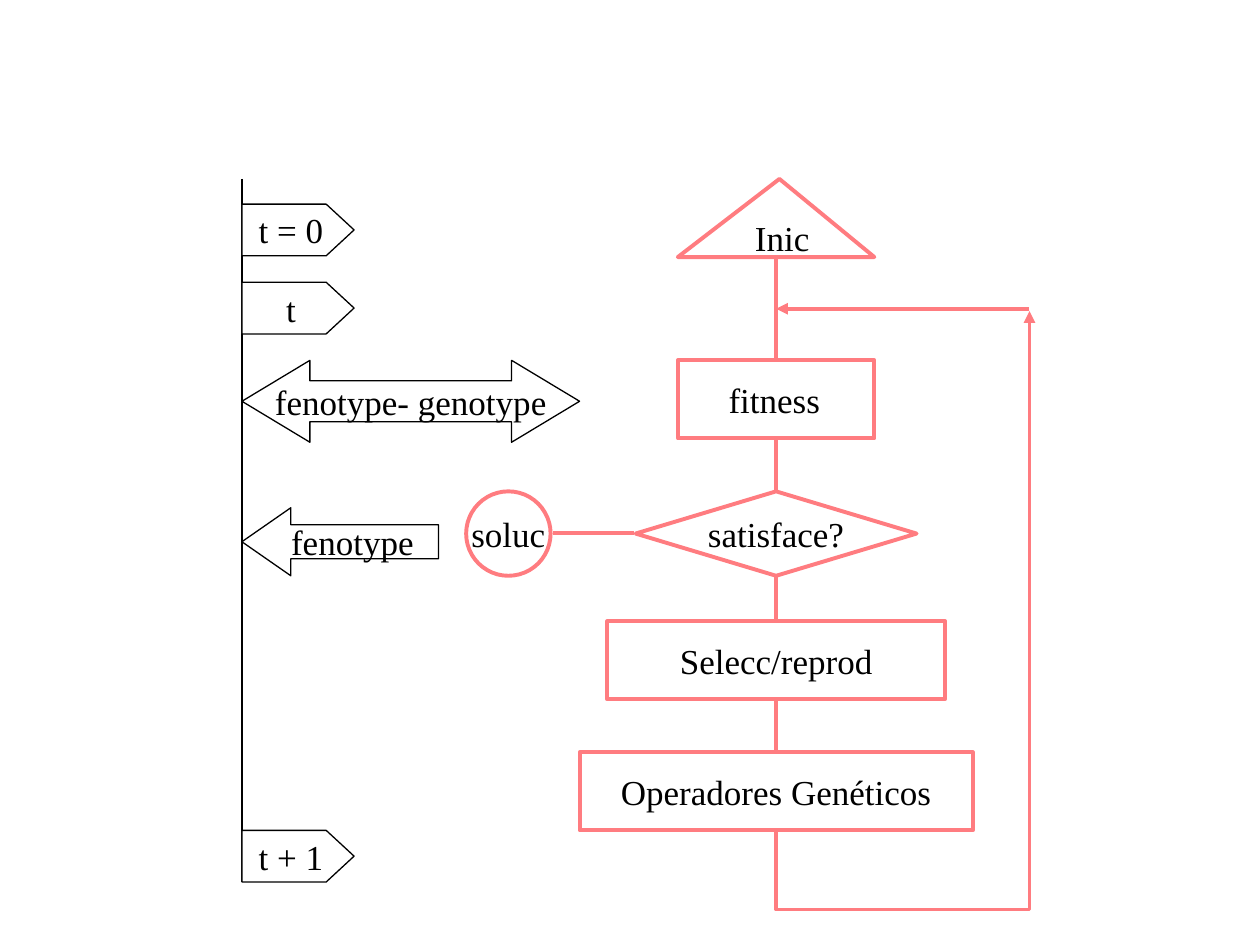
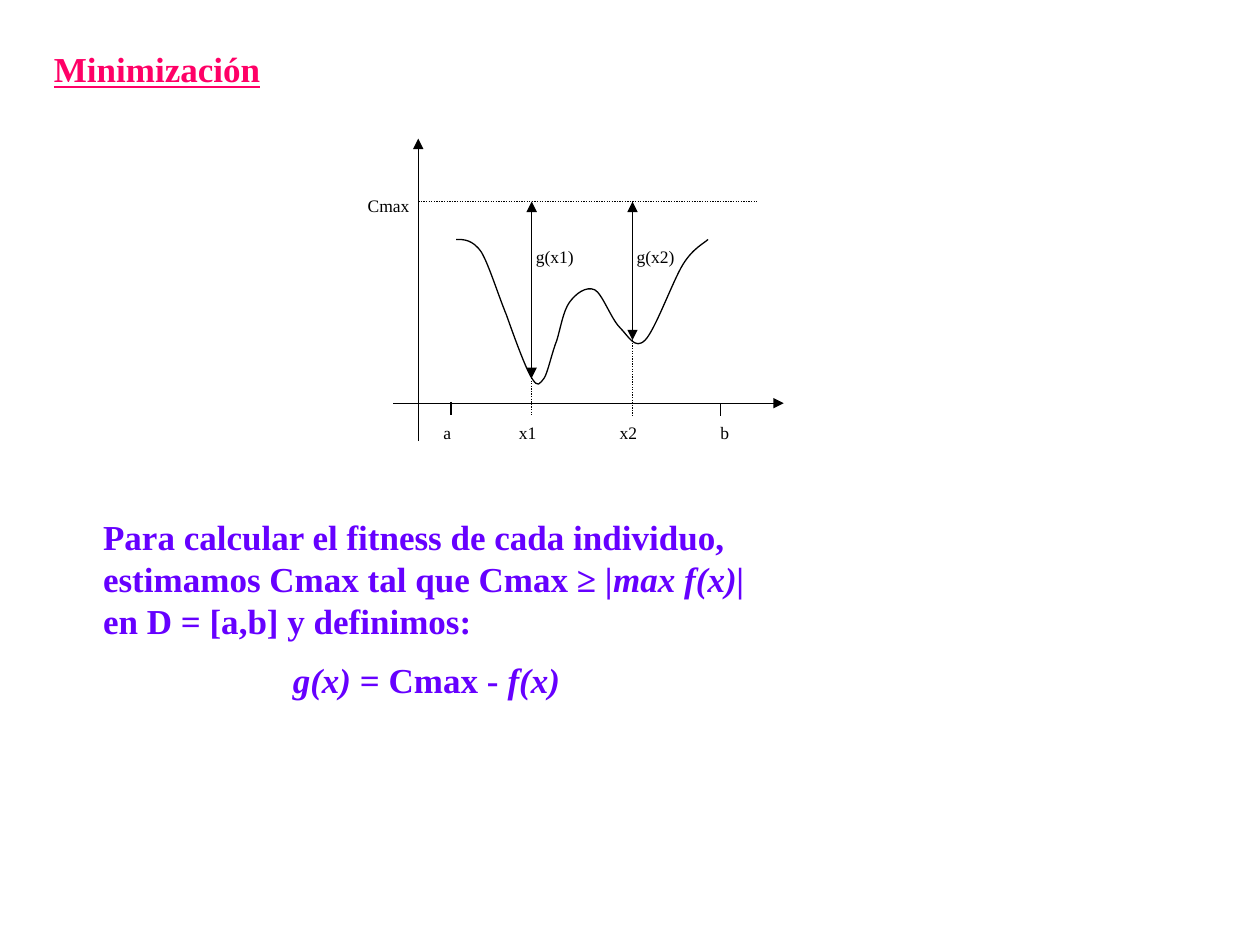
from dataclasses import dataclass

from lxml.etree import SubElement
from pptx import Presentation
from pptx.dml.color import RGBColor
from pptx.enum.dml import MSO_LINE
from pptx.enum.shapes import MSO_CONNECTOR, MSO_SHAPE
from pptx.enum.text import MSO_ANCHOR, MSO_AUTO_SIZE, PP_ALIGN
from pptx.oxml.ns import qn
from pptx.util import Inches, Pt


@dataclass(frozen=True)
class Theme:
    """Colours, font and sizes shared by the slides."""
    font: str = "Times New Roman"
    black: str = "000000"
    white: str = "FFFFFF"
    flow: str = "FF7C80"
    title: str = "FF0066"
    body: str = "6600FF"
    text_size: int = 20
    label_size: int = 10
    spacer_size: int = 8
    thin: float = 0.75
    thick: float = 2.25


THEME = Theme()


def write_text(shape, *paragraphs, size=THEME.text_size, color=THEME.black, bold=None,
               underline=None, aligns=(PP_ALIGN.LEFT,), space=0, wrap=True,
               anchor=MSO_ANCHOR.TOP, grow=False):
    """Fill a shape; a paragraph is a string or a list of (text, font overrides)."""
    frame = shape.text_frame
    frame.word_wrap = wrap
    frame.vertical_anchor = anchor
    if grow:
        frame.auto_size = MSO_AUTO_SIZE.SHAPE_TO_FIT_TEXT
    for index, content in enumerate(paragraphs):
        paragraph = frame.add_paragraph() if index else frame.paragraphs[0]
        paragraph.alignment = aligns[index]
        if index and space:
            paragraph.space_before = Pt(space)
        runs = [(content, {})] if isinstance(content, str) else content
        for text, overrides in runs:
            run = paragraph.add_run()
            run.text = text
            font = run.font
            font.name = THEME.font
            font.size = Pt(overrides.get("size", size))
            font.bold = bold
            font.underline = underline
            font.italic = overrides.get("italic")
            font.color.rgb = RGBColor.from_string(color)


def add_textbox(shapes, text, left, top, width, height, **text_format):
    """Add a text box holding one paragraph."""
    box = shapes.add_textbox(Inches(left), Inches(top), Inches(width), Inches(height))
    write_text(box, text, **text_format)


def style_line(shape, color, width):
    """Set the outline colour and width."""
    shape.line.color.rgb = RGBColor.from_string(color)
    shape.line.width = Pt(width)


def add_node(shapes, kind, text, left, top, width, height,
             color=THEME.flow, line_width=THEME.thick, adjust=()):
    """Add an outlined white shape with centred text."""
    shape = shapes.add_shape(kind, Inches(left), Inches(top), Inches(width), Inches(height))
    shape.shadow.inherit = False
    for index, value in enumerate(adjust):
        shape.adjustments[index] = value
    shape.fill.solid()
    shape.fill.fore_color.rgb = RGBColor.from_string(THEME.white)
    style_line(shape, color, line_width)
    write_text(shape, text, aligns=(PP_ALIGN.CENTER,), wrap=False, anchor=MSO_ANCHOR.MIDDLE)


def add_line(shapes, start, end, color=THEME.black, width=THEME.thin,
             dotted=False, heads=(), kind=MSO_CONNECTOR.STRAIGHT):
    """Add a connector; heads names the ends (headEnd, tailEnd) with a triangle."""
    line = shapes.add_connector(kind, *map(Inches, (*start, *end)))
    style_line(line, color, width)
    if dotted:
        line.line.dash_style = MSO_LINE.ROUND_DOT
    properties = line._element.spPr
    for head in heads:
        SubElement(properties.find(qn("a:ln")), qn(f"a:{head}"), type="triangle")
    SubElement(properties, qn("a:effectLst"))
    return line


def add_return_loop(shapes, start, end, drop):
    """Add an elbow that drops below start, then rises to end on its right."""
    (x1, y1), (x2, y2) = start, end
    length, breadth = y1 - y2, x2 - x1
    middle_x, middle_y = (x1 + x2) / 2, (y1 + y2) / 2
    # Drawn lying down and flipped both ways, then turned by a quarter.
    loop = add_line(shapes, (middle_x + length / 2, middle_y + breadth / 2),
                    (middle_x - length / 2, middle_y - breadth / 2),
                    THEME.flow, THEME.thick, heads=("tailEnd",), kind=MSO_CONNECTOR.ELBOW)
    properties = loop._element.spPr
    properties.find(qn("a:xfrm")).set("rot", "5400000")
    guides = properties.find(qn("a:prstGeom")).find(qn("a:avLst"))
    SubElement(guides, qn("a:gd"), name="adj1", fmla=f"val {round(-100000 * drop / length)}")


def add_curve(shapes, points):
    """Add an open Bezier curve: a start, then two controls and a knot per piece."""
    start, *others = [(Inches(x), Inches(y)) for x, y in points]
    builder = shapes.build_freeform(*start)
    builder.add_line_segments(others, close=False)
    curve = builder.convert_to_shape()
    curve.shadow.inherit = False
    curve.fill.background()
    style_line(curve, THEME.black, THEME.thin)
    segments = list(curve._element.iter(qn("a:lnTo")))
    for index in range(0, len(segments), 3):
        piece = SubElement(segments[0].getparent(), qn("a:cubicBezTo"))
        for segment in segments[index:index + 3]:
            piece.append(segment[0])
    for segment in segments:
        segment.getparent().remove(segment)


def build_flowchart(slide):
    """Draw the genetic algorithm's flow beside its time line."""
    shapes = slide.shapes
    axis, center, right = 1.92, 6.16, 8.17
    fitness = [("fitness", {}), (" ", {"size": THEME.spacer_size})]
    steps = [
        (MSO_SHAPE.ISOSCELES_TRIANGLE, " Inic", 1.42, 1.56, 0.62, (0.517,)),
        (MSO_SHAPE.RECTANGLE, fitness, 2.86, 1.56, 0.62, ()),
        (MSO_SHAPE.DIAMOND, "satisface?", 3.9, 2.23, 0.67, ()),
        (MSO_SHAPE.RECTANGLE, "Selecc/reprod", 4.93, 2.68, 0.62, ()),
        (MSO_SHAPE.RECTANGLE, "Operadores Genéticos", 5.97, 3.12, 0.62, ()),
    ]
    for kind, text, top, width, height, adjust in steps:
        add_node(shapes, kind, text, center - width / 2, top, width, height, adjust=adjust)

    thin = {"color": THEME.black, "line_width": THEME.thin}
    add_line(shapes, (axis, 1.42), (axis, 7))
    for text, top in (("t = 0", 1.62), ("t", 2.24), ("t + 1", 6.59)):
        add_node(shapes, MSO_SHAPE.PENTAGON, text, axis, top, 0.89, 0.41,
                 adjust=(0.54,), **thin)
    add_node(shapes, MSO_SHAPE.LEFT_RIGHT_ARROW, "fenotype- genotype",
             axis, 2.86, 2.68, 0.65, adjust=(0.5, 0.83), **thin)
    add_node(shapes, MSO_SHAPE.FLOWCHART_CONNECTOR, "soluc", 3.7, 3.9, 0.67, 0.67)
    add_node(shapes, MSO_SHAPE.LEFT_ARROW, "fenotype",
             axis, 4.03, 1.56, 0.54, adjust=(0.5, 0.72), **thin)

    flow = {"color": THEME.flow, "width": THEME.thick}
    for above, below in zip(steps, steps[1:]):
        add_line(shapes, (center, above[2] + above[4] + 0.01), (center, below[2] - 0.01), **flow)
    add_return_loop(shapes, (center, 6.6), (right, 2.47), drop=0.62)
    add_line(shapes, (right, 2.45), (center, 2.45), heads=("tailEnd",), **flow)
    add_line(shapes, (5.03, 4.23), (4.39, 4.23), **flow)


def build_graph(shapes):
    """Draw the function, its upper bound and the distances to it."""
    origin_x, origin_y, bound = 3.32, 3.2, 1.6
    label = {"size": THEME.label_size}
    add_line(shapes, (origin_x, 3.5), (origin_x, 1.1), heads=("tailEnd",))
    add_line(shapes, (3.12, origin_y), (6.22, origin_y), heads=("tailEnd",))
    for text, x, top, left in (("a", 3.58, 3.19, 3.42), ("b", 5.72, 3.2, 5.62)):
        add_line(shapes, (x, top), (x, top + 0.1))
        add_textbox(shapes, text, left, 3.3, 0.4, 0.3, **label)
    add_curve(shapes, [
        (3.62, 1.9),
        (3.68, 1.9), (3.75, 1.9), (3.82, 2),
        (3.88, 2.1), (3.95, 2.33), (4.02, 2.5),
        (4.08, 2.67), (4.17, 2.92), (4.22, 3),
        (4.27, 3.08), (4.28, 3.05), (4.32, 3),
        (4.35, 2.95), (4.38, 2.8), (4.42, 2.7),
        (4.45, 2.6), (4.47, 2.47), (4.52, 2.4),
        (4.57, 2.33), (4.65, 2.27), (4.72, 2.3),
        (4.78, 2.33), (4.85, 2.53), (4.92, 2.6),
        (4.99, 2.67), (5.04, 2.78), (5.12, 2.7),
        (5.2, 2.62), (5.34, 2.23), (5.42, 2.1),
        (5.5, 1.97), (5.59, 1.93), (5.62, 1.9),
    ])
    add_line(shapes, (origin_x, bound), (6.02, bound), dotted=True)
    add_textbox(shapes, "Cmax", 2.82, 1.5, 0.6, 0.3, **label)
    for name, x, y in (("x1", 4.22, 3), ("x2", 5.02, 2.7)):
        add_line(shapes, (x, y), (x, bound), heads=("headEnd", "tailEnd"))
        add_line(shapes, (x, y), (x, 3.3), dotted=True)
        add_textbox(shapes, name, x - 0.2, 3.3, 0.4, 0.3, **label)
        add_textbox(shapes, f" g({name})", x - 0.1, 1.9, 0.57, 0.41, **label)


def build_minimization(slide):
    """Lay out the title, the graph and the definition of fitness."""
    shapes = slide.shapes
    add_textbox(shapes, "Minimización", 0.33, 0.33, 2.17, 0.43,
                color=THEME.title, bold=True, underline=True, grow=True)
    build_graph(shapes.add_group_shape().shapes)
    italic = {"italic": True}
    body = shapes.add_textbox(Inches(0.72), Inches(4.04), Inches(5.33), Inches(1.6))
    write_text(
        body,
        [("Para calcular el fitness de cada individuo, estimamos Cmax tal que Cmax ≥ |", {}),
         ("max f(x)|", italic), (" en D = [a,b] y definimos:", {})],
        [("g(x)", italic), (" = Cmax - ", {}), ("f(x)", italic)],
        color=THEME.body, bold=True, aligns=(PP_ALIGN.LEFT, PP_ALIGN.CENTER),
        space=THEME.text_size / 2, grow=True)


def main():
    """Build and save the presentation."""
    presentation = Presentation()
    presentation.slide_width, presentation.slide_height = Inches(10), Inches(7.5)
    blank = presentation.slide_layouts[6]
    for build in (build_flowchart, build_minimization):
        build(presentation.slides.add_slide(blank))
    presentation.save("out.pptx")


main()
